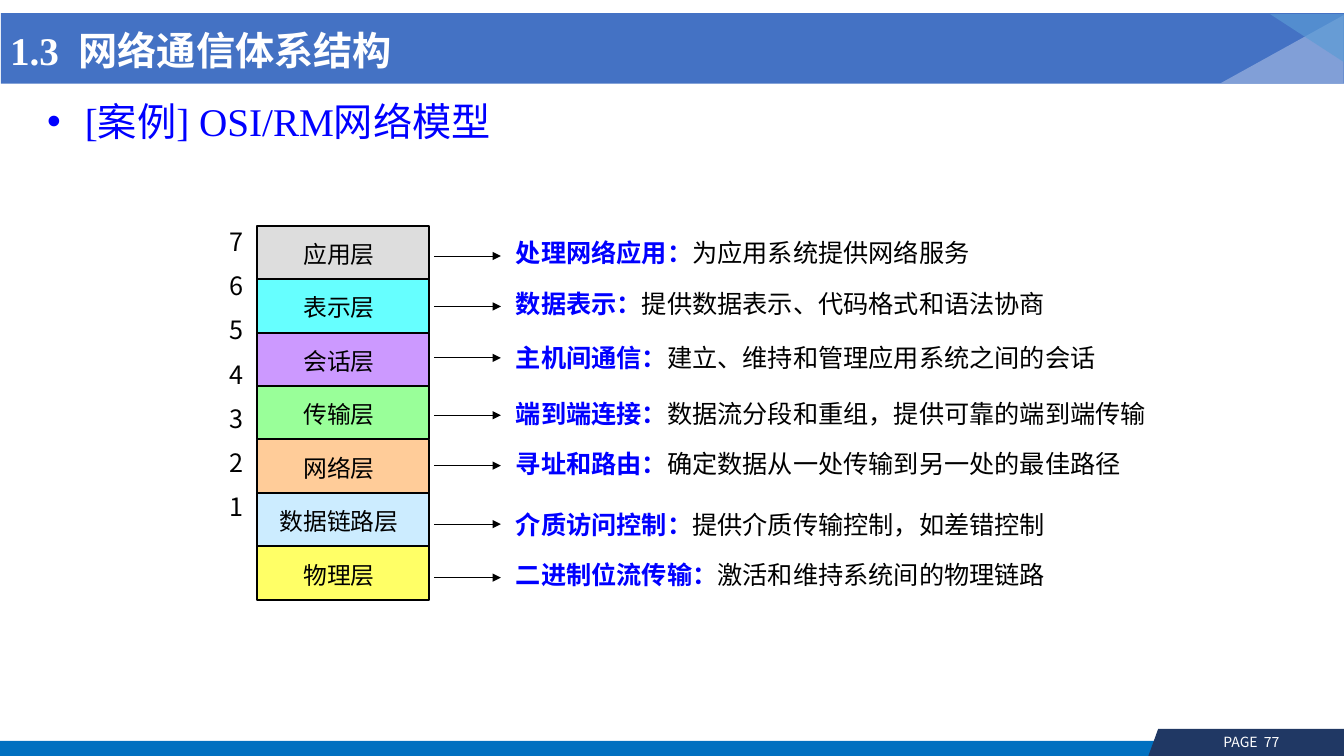
from dataclasses import dataclass

from lxml.etree import SubElement
from pptx import Presentation
from pptx.dml.color import RGBColor
from pptx.enum.shapes import MSO_CONNECTOR, MSO_SHAPE
from pptx.enum.text import MSO_ANCHOR, MSO_AUTO_SIZE, PP_ALIGN
from pptx.oxml.ns import qn
from pptx.util import Pt


@dataclass(frozen=True)
class Theme:
    """Colours, fonts and type sizes of the slide."""
    white: str = "FFFFFF"
    black: str = "000000"
    blue: str = "0000FF"
    bar: str = "4472C4"
    foot: str = "0070C0"
    navy: str = "203864"
    pale: str = "8FAADC"
    sky: str = "5B9BD5"
    serif: str = "Times New Roman"
    sans: str = "Noto Sans CJK SC"
    head: float = 28
    body: float = 18
    layer: float = 17
    page: float = 10


THEME = Theme()

LAYERS = [
    ("应用层", "DDDDDD", 182.9, 166.3, "处理网络应用：", "为应用系统提供网络服务"),
    ("表示层", "66FFFF", 218.9, 202.3, "数据表示：", "提供数据表示、代码格式和语法协商"),
    ("会话层", "CC99FF", 255.6, 241.2, "主机间通信：", "建立、维持和管理应用系统之间的会话"),
    ("传输层", "99FF99", 296.6, 280.8, "端到端连接：", "数据流分段和重组，提供可靠的端到端传输"),
    ("网络层", "FFCC99", 332.6, 316.8, "寻址和路由：", "确定数据从一处传输到另一处的最佳路径"),
    ("数据链路层", "CCECFF", 374.4, 360, "介质访问控制：", "提供介质传输控制，如差错控制"),
    ("物理层", "FFFF66", 412.6, 396, "二进制位流传输：", "激活和维持系统间的物理链路"),
]


def style(run, size, color, face, bold=False):
    """Format one run for Latin and Chinese text."""
    font = run.font
    font.size, font.bold, font.name = Pt(size), bold, face
    font.color.rgb = RGBColor.from_string(color)
    SubElement(run._r.rPr, qn("a:ea"), typeface=THEME.sans)


def paint(shape, color, alpha=None):
    """Fill a shape with a flat colour, without line or shadow."""
    shape.shadow.inherit = False
    shape.fill.solid()
    shape.fill.fore_color.rgb = RGBColor.from_string(color)
    shape.line.fill.background()
    if alpha:
        tone = shape._element.spPr.find(f"{qn('a:solidFill')}/{qn('a:srgbClr')}")
        SubElement(tone, qn("a:alpha"), val=str(alpha * 1000))
    return shape


def add_block(slide, kind, box, color, alpha=None):
    """Add a filled preset shape."""
    return paint(slide.shapes.add_shape(kind, *map(Pt, box)), color, alpha)


def add_text(slide, box, wrap=True):
    """Add an empty text box and return its frame."""
    frame = slide.shapes.add_textbox(*map(Pt, box)).text_frame
    frame.word_wrap = wrap
    return frame


def add_frame(slide):
    """Draw the header band and the footer."""
    add_block(slide, MSO_SHAPE.RECTANGLE, (0, 529.2, 960, 10.8), THEME.foot)
    build = slide.shapes.build_freeform(Pt(827.3), Pt(520.6))
    build.add_line_segments([(Pt(x), Pt(y)) for x, y in
                             [(960, 520.6), (960, 541.4), (820, 540.7)]])
    paint(build.convert_to_shape(), THEME.navy)
    frame = add_text(slide, (865.4, 520.6, 56.9, 19.4), False)
    frame.text = "PAGE  77"
    frame.paragraphs[0].alignment = PP_ALIGN.CENTER
    style(frame.paragraphs[0].runs[0], THEME.page, THEME.white, THEME.sans)
    add_block(slide, MSO_SHAPE.RECTANGLE, (0.7, 9.4, 959.3, 50.4), THEME.bar)
    kind = MSO_SHAPE.ISOSCELES_TRIANGLE
    low = add_block(slide, kind, (871.2, 10.8, 88.6, 49), THEME.pale, 82)
    low.adjustments[0] = 1
    high = add_block(slide, kind, (907.2, 10.1, 53.3, 34.6), THEME.sky, 67)
    high.adjustments[0] = 0
    high.rotation = 180


def set_title(slide, text):
    """Place the title on top of the header band."""
    title = slide.shapes.title
    title.left, title.top, title.width, title.height = map(Pt, (0, 13, 828, 45.4))
    frame = title.text_frame
    frame.text = text
    frame.auto_size = MSO_AUTO_SIZE.NONE
    frame.vertical_anchor = MSO_ANCHOR.MIDDLE
    frame.paragraphs[0].alignment = PP_ALIGN.LEFT
    style(frame.paragraphs[0].runs[0], THEME.head, THEME.white, THEME.serif, True)
    slide.shapes._spTree.append(title._element)


def add_point(slide, text):
    """Add the bulleted heading line."""
    frame = add_text(slide, (26.6, 69.8, 743, 45.4))
    frame.text = text
    para = frame.paragraphs[0]
    props = para._p.get_or_add_pPr()
    props.set("marL", str(Pt(27)))
    props.set("indent", str(Pt(-27)))
    para.line_spacing = 0.9
    SubElement(props, qn("a:buFont"), typeface="Arial")
    SubElement(props, qn("a:buChar"), char="•")
    style(para.runs[0], THEME.head, THEME.blue, THEME.serif)


def add_layer(slide, top, name, color):
    """Add one named layer of the stack."""
    shape = add_block(slide, MSO_SHAPE.RECTANGLE, (183.6, top, 123.1, 38.16), color)
    shape.line.color.rgb = RGBColor.from_string(THEME.black)
    shape.line.width = Pt(1.38)
    frame = shape.text_frame
    frame.text = name
    frame.margin_left, frame.margin_right = Pt(0), Pt(6)
    frame.margin_top, frame.margin_bottom = Pt(2), Pt(0)
    frame.vertical_anchor = MSO_ANCHOR.MIDDLE
    frame.paragraphs[0].alignment = PP_ALIGN.CENTER
    style(frame.paragraphs[0].runs[0], THEME.layer, THEME.black, THEME.sans)


def add_arrow(slide, y):
    """Add an arrow from the stack to a note."""
    line = slide.shapes.add_connector(
        MSO_CONNECTOR.STRAIGHT, Pt(310.3), Pt(y), Pt(357.8), Pt(y))
    line.line.width = Pt(0.75)
    line.line.color.rgb = RGBColor.from_string(THEME.black)
    SubElement(line.line._get_or_add_ln(), qn("a:tailEnd"), type="triangle")
    SubElement(line._element.spPr, qn("a:effectLst"))


def add_note(slide, top, lead, rest):
    """Add a note with a bold blue lead."""
    frame = add_text(slide, (361.4, top, 465, 28.8), False)
    para = frame.paragraphs[0]
    for text, color, bold in ((lead, THEME.blue, True), (rest, THEME.black, False)):
        run = para.add_run()
        run.text = text
        style(run, THEME.body, color, THEME.serif, bold)


def add_ranks(slide, count):
    """Number the layers from the top down."""
    frame = add_text(slide, (157, 158, 23.8, 262))
    frame.text = "\n".join(str(rank) for rank in range(count, 0, -1))
    for i, para in enumerate(frame.paragraphs):
        if i:
            para.space_before = Pt(10)
        style(para.runs[0], THEME.body, THEME.black, THEME.sans)


def main():
    """Build the slide and save it."""
    deck = Presentation()
    deck.slide_width, deck.slide_height = Pt(960), Pt(540)
    slide = deck.slides.add_slide(deck.slide_layouts[5])
    add_frame(slide)
    add_point(slide, "[案例] OSI/RM网络模型")
    set_title(slide, "1.3  网络通信体系结构")
    for i, (name, color, y, top, lead, rest) in enumerate(LAYERS):
        add_layer(slide, 161.3 + 38.16 * i, name, color)
        add_arrow(slide, y)
        add_note(slide, top, lead, rest)
    add_ranks(slide, len(LAYERS))
    deck.save("out.pptx")


if __name__ == "__main__":
    main()
